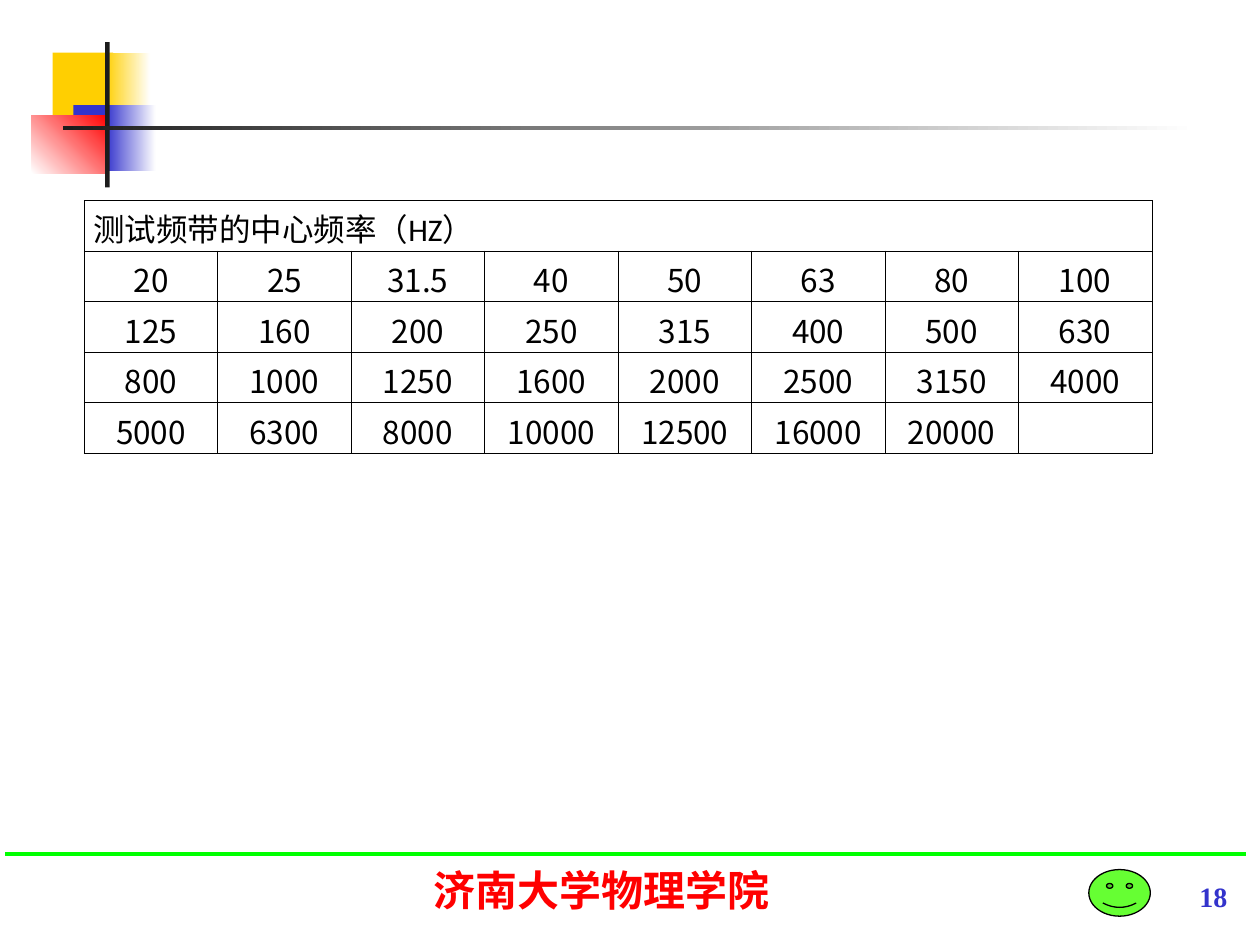
from dataclasses import dataclass

from lxml import etree
from pptx import Presentation
from pptx import util as u
from pptx.dml import color
from pptx.enum import shapes, text
from pptx.oxml import ns

SANS = "Noto Sans CJK SC"
BLACK, WHITE, RED, BLUE, YELLOW, INK = (
    "000000", "FFFFFF", "FF0000", "3333CC", "FFCF01", "1C1C1C")


@dataclass
class Block:
    x: float
    y: float
    w: float
    h: float
    start: str
    end: str = ""
    angle: float = 0


@dataclass
class Label:
    x: float
    y: float
    w: float
    h: float
    words: str
    font: str
    size: float
    hue: str
    align: text.PP_ALIGN
    anchor: text.MSO_ANCHOR


BLOCKS = [
    Block(1.06, 1.06, 1.22, 1.32, YELLOW),
    Block(2.12, 1.06, 0.91, 1.32, YELLOW, WHITE),
    Block(1.48, 2.12, 1.17, 1.32, BLUE),
    Block(2.12, 2.12, 1.02, 1.32, BLUE, WHITE),
    Block(0.64, 2.33, 1.55, 1.17, WHITE, RED, 45),
    Block(2.12, 0.85, 0.09, 2.93, INK),
    Block(1.27, 2.55, 22.86, 0.08, INK, WHITE),
]
LABELS = [
    Label(16.94, 17.63, 8.05, 0.89, "18", "Times New Roman", 16, BLUE,
          text.PP_ALIGN.RIGHT, text.MSO_ANCHOR.MIDDLE),
    Label(7.44, 17.42, 9.37, 1.47, "济南大学物理学院", "Roboto", 24, RED,
          text.PP_ALIGN.CENTER, text.MSO_ANCHOR.TOP),
]
HEADING = "测试频带的中心频率（HZ）"
FREQUENCIES = [
    ["20", "25", "31.5", "40", "50", "63", "80", "100"],
    ["125", "160", "200", "250", "315", "400", "500", "630"],
    ["800", "1000", "1250", "1600", "2000", "2500", "3150", "4000"],
    ["5000", "6300", "8000", "10000", "12500", "16000", "20000", ""],
]
COL_W, ROW_H = 2.69, 1.02


def rgb(value: str) -> color.RGBColor:
    return color.RGBColor.from_string(value)


def apply(target, values: dict) -> None:
    for name, value in values.items():
        setattr(target, name, value)


def write(p, words: str, font: str, size: float, hue: str, bold: bool) -> None:
    r = p.add_run()
    r.text = words
    apply(r.font, {"name": font, "size": u.Pt(size), "bold": bold})
    r.font.color.rgb = rgb(hue)
    etree.SubElement(r.font._element, ns.qn("a:ea"), typeface=SANS)


def draw_block(s, b: Block) -> None:
    sp = s.shapes.add_shape(shapes.MSO_SHAPE.RECTANGLE,
                            u.Cm(b.x), u.Cm(b.y), u.Cm(b.w), u.Cm(b.h))
    sp.shadow.inherit = False
    sp.line.fill.background()
    if b.end:
        sp.fill.gradient()
        sp.fill.gradient_angle = b.angle
        for stop, hue in zip(sp.fill.gradient_stops, (b.start, b.end)):
            stop.color.rgb = rgb(hue)
    else:
        sp.fill.solid()
        sp.fill.fore_color.rgb = rgb(b.start)


def draw_label(s, label: Label) -> None:
    sp = s.shapes.add_textbox(u.Cm(label.x), u.Cm(label.y),
                              u.Cm(label.w), u.Cm(label.h))
    tf = sp.text_frame
    apply(tf, {"word_wrap": True, "vertical_anchor": label.anchor,
               "margin_top": 0, "margin_bottom": 0})
    p = tf.paragraphs[0]
    p.alignment = label.align
    write(p, label.words, label.font, label.size, label.hue, True)


def draw_footer_marks(s) -> None:
    y = u.Cm(17.22)
    rule = s.shapes.add_connector(shapes.MSO_CONNECTOR.STRAIGHT,
                                  u.Cm(0.1), y, u.Cm(25.12), y)
    rule.line.color.rgb = rgb("00FF00")
    rule.line.width = u.Pt(2.25)
    etree.SubElement(rule._element.spPr, ns.qn("a:effectLst"))
    face = s.shapes.add_shape(shapes.MSO_SHAPE.SMILEY_FACE,
                              u.Cm(21.95), u.Cm(17.53), u.Cm(1.24), u.Cm(0.94))
    face.shadow.inherit = False
    face.fill.solid()
    face.fill.fore_color.rgb = rgb("66FF33")
    face.line.color.rgb = rgb(BLACK)
    face.line.width = u.Pt(0.75)


def add_borders(cell) -> None:
    tc_pr = cell._tc.get_or_add_tcPr()
    for side in ("lnL", "lnR", "lnT", "lnB"):
        ln = etree.SubElement(tc_pr, ns.qn(f"a:{side}"), w=str(u.Pt(0.45)))
        fill = etree.SubElement(ln, ns.qn("a:solidFill"))
        etree.SubElement(fill, ns.qn("a:srgbClr"), val=BLACK)


def draw_table(s) -> None:
    rows, cols = len(FREQUENCIES) + 1, len(FREQUENCIES[0])
    table = s.shapes.add_table(rows, cols, u.Cm(1.7), u.Cm(4.04),
                               u.Cm(COL_W * cols), u.Cm(ROW_H * rows)).table
    apply(table, {"first_row": False, "horz_banding": False})
    for col in table.columns:
        col.width = u.Cm(COL_W)
    for row in table.rows:
        row.height = u.Cm(ROW_H)
    for cell in table.iter_cells():
        add_borders(cell)
        cell.fill.background()
        apply(cell, {"margin_left": u.Cm(0.18), "margin_right": u.Cm(0.18),
                     "margin_top": u.Cm(0.1), "margin_bottom": 0})
    heading = table.cell(0, 0)
    heading.merge(table.cell(0, cols - 1))
    p = heading.text_frame.paragraphs[0]
    p.alignment = text.PP_ALIGN.JUSTIFY
    write(p, HEADING, "Calibri", 18, BLACK, False)
    for i, values in enumerate(FREQUENCIES, 1):
        for j, value in enumerate(values):
            if value:
                cell = table.cell(i, j)
                cell.vertical_anchor = text.MSO_ANCHOR.MIDDLE
                p = cell.text_frame.paragraphs[0]
                p.alignment = text.PP_ALIGN.CENTER
                write(p, value, SANS, 18, BLACK, False)


def main() -> None:
    prs = Presentation()
    apply(prs, {"slide_width": u.Cm(25.4), "slide_height": u.Cm(19.05)})
    s = prs.slides.add_slide(prs.slide_layouts[6])
    for block in BLOCKS:
        draw_block(s, block)
    for label in LABELS:
        draw_label(s, label)
    draw_footer_marks(s)
    draw_table(s)
    prs.save("out.pptx")


if __name__ == "__main__":
    main()
